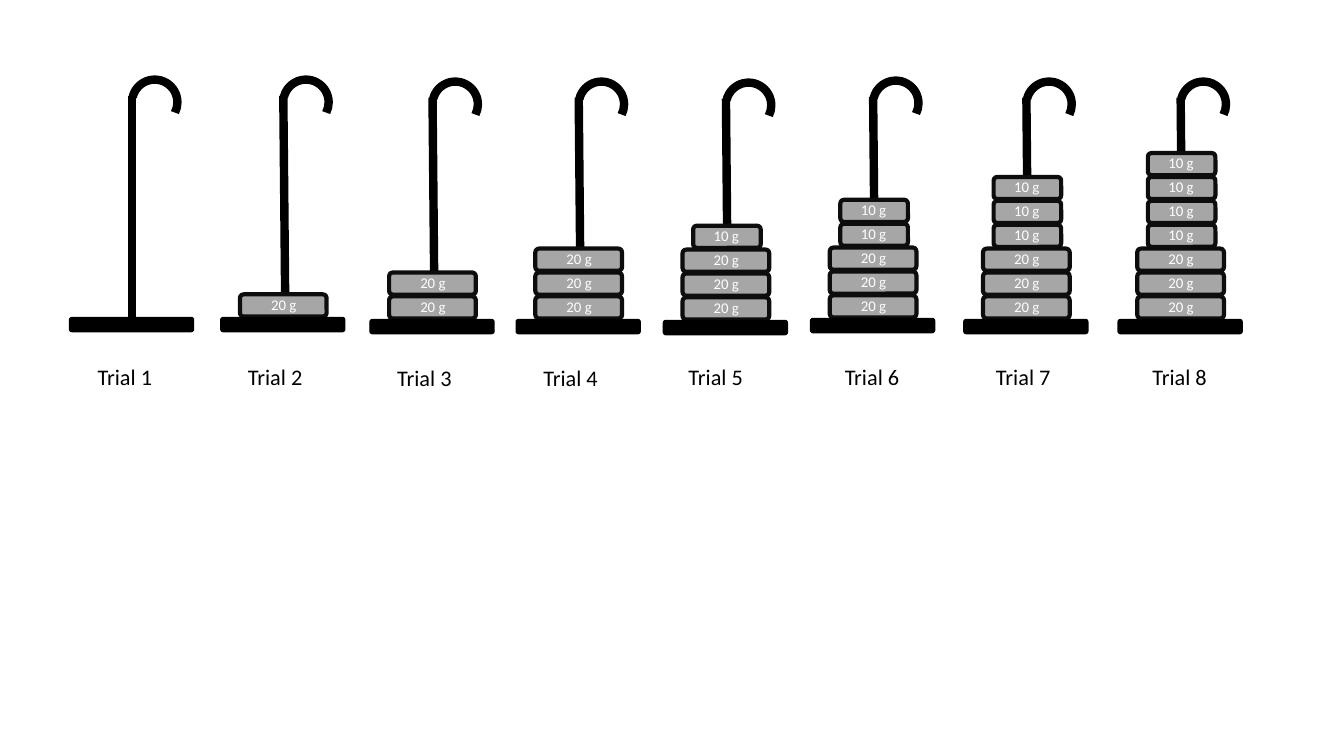
from lxml import etree
from pptx import Presentation
from pptx.dml.color import RGBColor
from pptx.enum.shapes import MSO_CONNECTOR, MSO_SHAPE as SHAPE
from pptx.enum.text import MSO_AUTO_SIZE
from pptx.oxml.ns import qn
from pptx.util import Inches, Pt

BLACK = RGBColor(0x00, 0x00, 0x00)
WHITE = RGBColor(0xFF, 0xFF, 0xFF)
GREY = RGBColor(0xA6, 0xA6, 0xA6)
EDGE = RGBColor(0x0D, 0x0D, 0x0D)

prs = Presentation()
prs.slide_width, prs.slide_height = Inches(13.33), Inches(7.5)
s = prs.slides.add_slide(prs.slide_layouts[6])

# The slide is a grid of 1333 columns by 750 rows of square cells
CELL = prs.slide_width // 1333
DISC_PITCH = 23.7
DISC_HEIGHT = 22
# mass in grams: offset from the base's left end, width
DISCS = {20: (19, 86), 10: (29.5, 67)}

# base left, base top, label left, label top, masses from the bottom up
TRIALS = [
    (69, 315, 87, 355, []),
    (219, 315, 236, 355, [20]),
    (367, 317, 384, 356, [20] * 2),
    (512, 317, 529, 356, [20] * 3),
    (658, 318, 673, 355, [20] * 3 + [10]),
    (804, 316, 828, 355, [20] * 3 + [10] * 2),
    (956, 317, 978, 355, [20] * 3 + [10] * 3),
    (1109, 317, 1133, 355, [20] * 3 + [10] * 4),
]


def add_part(shapes, kind, box, fill, line, weight):
    sp = shapes.add_shape(kind, *(round(v * CELL) for v in box))
    sp.shadow.inherit = False
    if fill is None:
        sp.fill.background()
    else:
        sp.fill.solid()
        sp.fill.fore_color.rgb = fill
    sp.line.color.rgb = line
    sp.line.width = Pt(weight)
    return sp


def add_label(shapes, text, box, size, color):
    tf = shapes.add_textbox(*(round(v * CELL) for v in box)).text_frame
    tf.word_wrap = True
    tf.auto_size = MSO_AUTO_SIZE.SHAPE_TO_FIT_TEXT
    tf.text = text
    font = tf.paragraphs[0].runs[0].font
    font.name, font.size, font.color.rgb = "Calibri", Pt(size), color


for number, (left, top, label_left, label_top, masses) in enumerate(TRIALS, 1):
    hanger = s.shapes.add_group_shape().shapes

    # Loaded rods lean slightly and end behind the lowest disc
    lean, gap = (2, 2) if masses else (0, 0)
    ends = (left + 62, top - 220, left + 62 + lean, top - gap)
    rod = hanger.add_connector(MSO_CONNECTOR.STRAIGHT, *(v * CELL for v in ends))
    rod.line.color.rgb = BLACK
    rod.line.width = Pt(6)
    etree.SubElement(rod._element.spPr, qn("a:effectLst"))

    for level, mass in enumerate(masses):
        offset, width = DISCS[mass]
        disc_top = top - 23 - level * DISC_PITCH
        add_part(hanger, SHAPE.ROUNDED_RECTANGLE,
                 (left + offset, disc_top, width, DISC_HEIGHT), GREY, EDGE, 3)

    hook = add_part(hanger, SHAPE.ARC, (left + 62, top - 236, 45, 45), None, BLACK, 6)
    hook.adjustments[0], hook.adjustments[1] = 116.11, 16.23
    add_part(hanger, SHAPE.ROUNDED_RECTANGLE, (left, top, 123, 14), BLACK, BLACK, 1)

    for level, mass in enumerate(masses):
        text_top = top - 27 - level * DISC_PITCH
        add_label(hanger, f"{mass} g", (left + 40, text_top, 56, 28), 10.6, WHITE)

    add_label(s.shapes, f"Trial {number}", (label_left, label_top, 88, 37), 15.9, BLACK)

prs.save("out.pptx")
